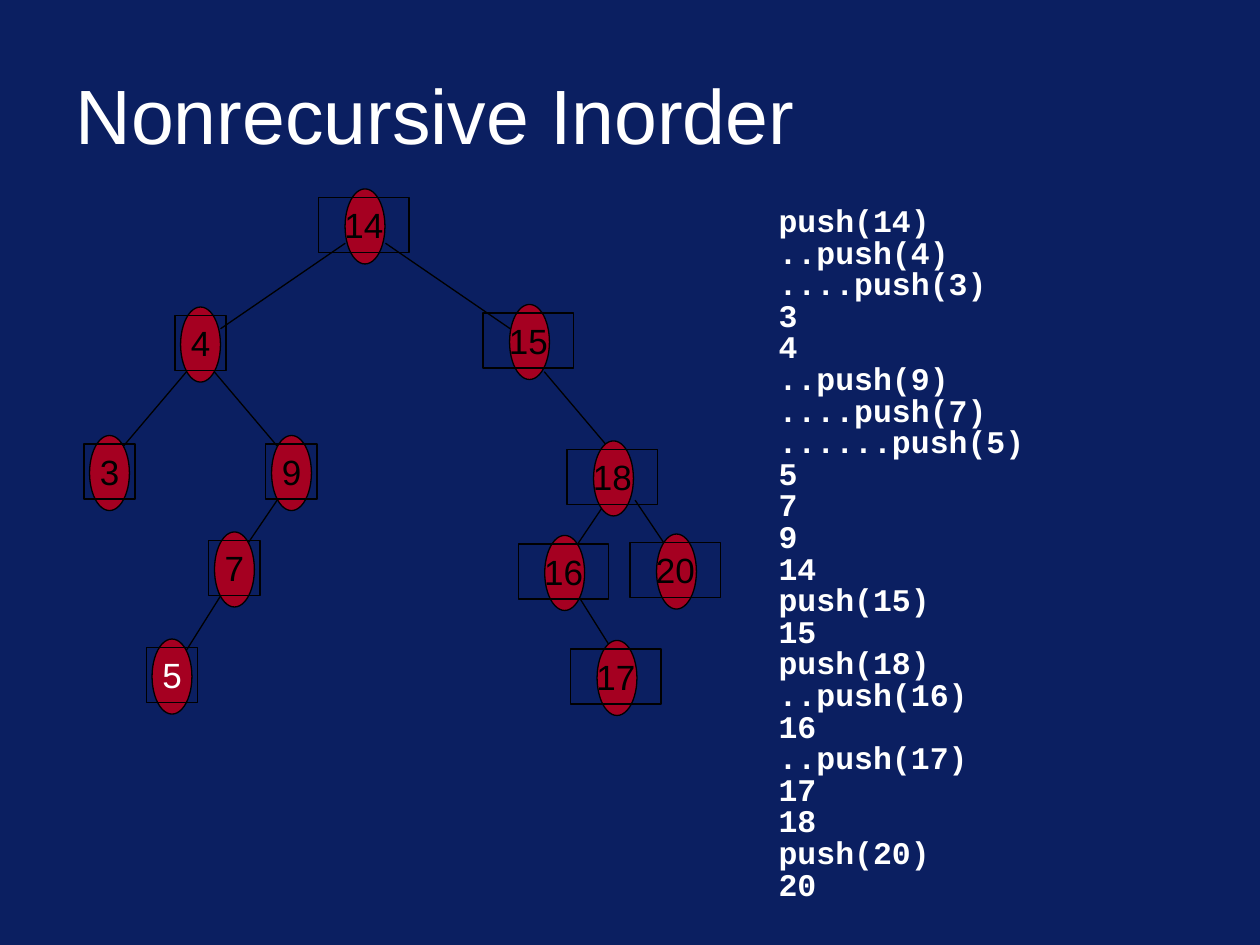
from lxml import etree
from pptx import Presentation
from pptx.dml.color import RGBColor
from pptx.enum.shapes import MSO_CONNECTOR, MSO_SHAPE
from pptx.enum.text import MSO_ANCHOR, PP_ALIGN
from pptx.oxml.ns import qn
from pptx.util import Pt

LEFT, CENTER = PP_ALIGN.LEFT, PP_ALIGN.CENTER
MIDDLE, TOP = MSO_ANCHOR.MIDDLE, MSO_ANCHOR.TOP
OVAL, RECTANGLE = MSO_SHAPE.OVAL, MSO_SHAPE.RECTANGLE
STRAIGHT = MSO_CONNECTOR.STRAIGHT
NAVY, RED, BLACK, WHITE = "0B1F61", "A50021", "000000", "FFFFFF"


def rgb(value):
    return RGBColor.from_string(value)


def write(sp, text, size=20, font="Arial", color=BLACK, bold=False,
          align=LEFT, anchor=TOP, spacing=None, before=0):
    """Fill a shape with text, one paragraph per line."""
    tf = sp.text_frame
    tf.word_wrap = True
    tf.vertical_anchor = anchor
    for i, line in enumerate(text.split("\n")):
        p = tf.add_paragraph() if i else tf.paragraphs[0]
        p.alignment = align
        p.space_before = Pt(before if i else 0)
        if spacing:
            p.line_spacing = spacing
        r = p.add_run()
        r.text = line
        r.font.size, r.font.name, r.font.bold = Pt(size), font, bold
        r.font.color.rgb = rgb(color)


prs = Presentation()
prs.slide_width, prs.slide_height = Pt(720), Pt(540)
s = prs.slides.add_slide(prs.slide_layouts[5])
s.background.fill.solid()
s.background.fill.fore_color.rgb = rgb(NAVY)

title = s.shapes.title
title.left, title.top, title.width, title.height = Pt(36), Pt(28.8), Pt(648), Pt(72)
write(title, "Nonrecursive Inorder", size=44, color=WHITE, anchor=MIDDLE)

# Trace of the traversal
TRACE = """push(14)
..push(4)
....push(3)
3
4
..push(9)
....push(7)
......push(5)
5
7
9
14
push(15)
15
push(18)
..push(16)
16
..push(17)
17
18
push(20)
20"""
trace = s.shapes.add_textbox(Pt(437.8), Pt(113.8), Pt(221.8), Pt(396))
write(trace, TRACE, size=18, font="Courier New", color=WHITE, bold=True,
      spacing=0.6, before=5.1)
trace.text_frame.margin_top = Pt(8.7)

# Tree edges: start x, y, end x, y
EDGES = [
    (197.3, 139, 126, 187.9),       # 14 to 4
    (220.3, 139, 291.6, 187.9),     # 14 to 15
    (106.6, 212.4, 70.6, 254.9),    # 4 to 3
    (122.4, 212.4, 158.4, 254.9),   # 4 to 9
    (311, 212.4, 347, 254.9),       # 15 to 18
    (158.4, 285.8, 141.8, 310.3),   # 9 to 7
    (347, 285.8, 330.5, 310.3),     # 18 to 16
    (362.9, 285.8, 379.4, 310.3),   # 18 to 20
    (126, 340.6, 106.6, 371.5),     # 7 to 5
    (330.5, 340.6, 349.9, 371.5),   # 16 to 17
]
for edge in EDGES:
    line = s.shapes.add_connector(STRAIGHT, *[Pt(v) for v in edge])
    line.line.color.rgb = rgb(BLACK)
    line.line.width = Pt(0.75)
    etree.SubElement(line._element.spPr, qn("a:effectLst"))

# Tree nodes: key and centre
NODES = [
    (14, 208.6, 129.4),
    (4, 114.6, 196.9), (15, 302.6, 195.4),
    (3, 62.6, 270.3), (9, 166.6, 270.3), (18, 350.6, 273.4),
    (7, 134, 325.4), (16, 322.7, 327.4), (20, 386.6, 326.6),
    (5, 98.3, 386.6), (17, 352.6, 387.4),
]
for key, x, y in NODES:
    box_width = 51.8 if key > 9 else 29.3
    box_x = x - 0.7 if key > 9 else x
    for kind, cx, cy, w, h in [(OVAL, x, y, 22.8, 42.9),
                               (RECTANGLE, box_x, y - 0.8, box_width, 31.5)]:
        sp = s.shapes.add_shape(kind, Pt(cx - w / 2), Pt(cy - h / 2), Pt(w), Pt(h))
        sp.shadow.inherit = False
        sp.line.color.rgb = rgb(BLACK)
        sp.line.width = Pt(0.75)
        if kind == OVAL:
            sp.fill.solid()
            sp.fill.fore_color.rgb = rgb(RED)
        else:
            sp.fill.background()
            write(sp, str(key), color=WHITE if key == 5 else BLACK, align=CENTER)

prs.save("out.pptx")
